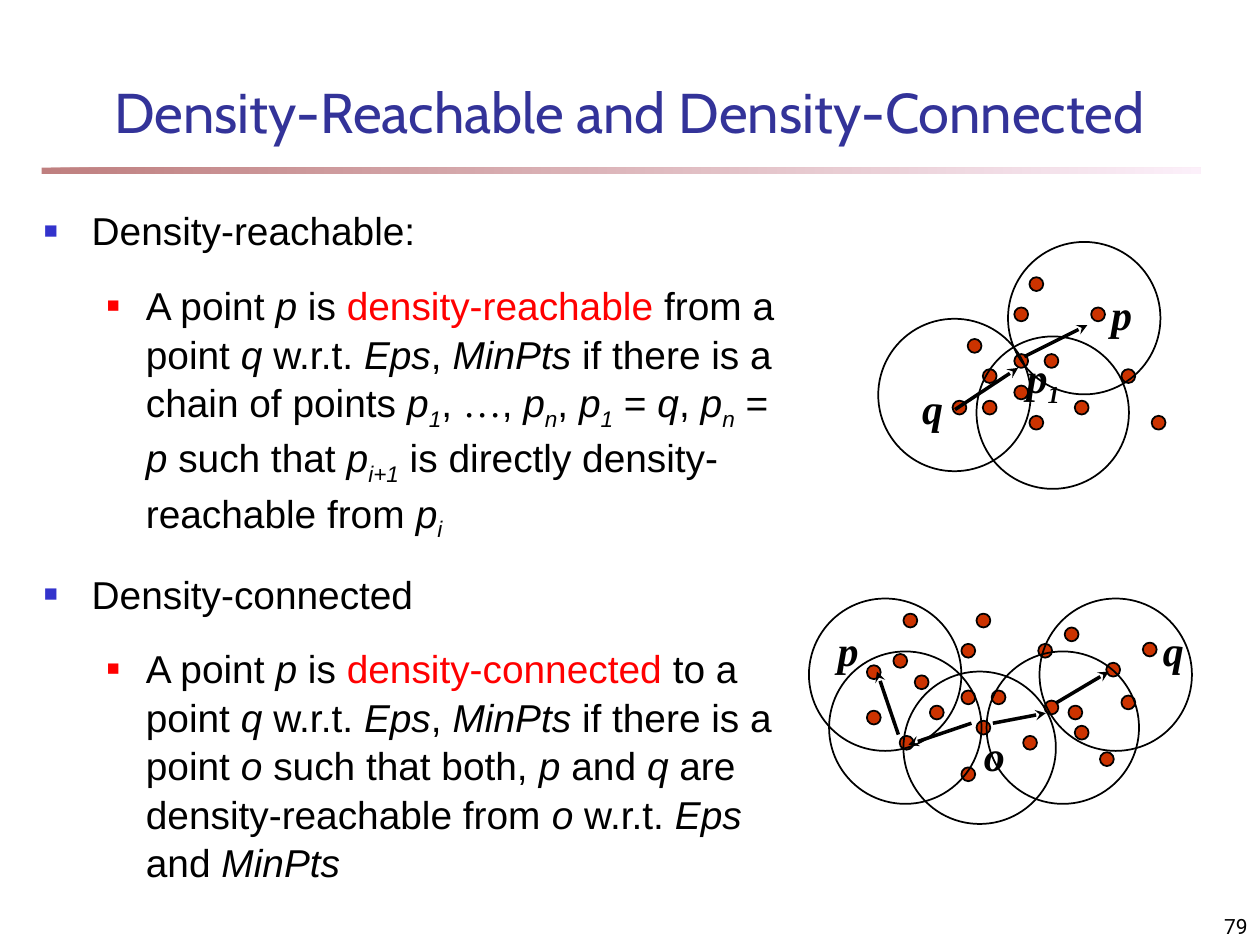
"""Build the slide on density-reachable and density-connected points."""
from dataclasses import dataclass
from typing import NamedTuple

from lxml.etree import SubElement
from pptx import Presentation
from pptx.dml.color import RGBColor
from pptx.enum.shapes import MSO_CONNECTOR, MSO_SHAPE
from pptx.enum.text import MSO_ANCHOR, PP_ALIGN
from pptx.oxml.ns import qn
from pptx.util import Inches, Pt


@dataclass(frozen=True)
class Theme:
    black: str = "000000"
    red: str = "FF0000"
    blue: str = "3333CC"
    navy: str = "333399"
    rust: str = "CC3300"
    maroon: str = "800000"
    pink: str = "FAE2F6"
    head: str = "Cabin"
    sans: str = "Arial"
    serif: str = "Times New Roman"
    small: str = "Roboto"
    title: float = 32
    body: float = 22.2
    label: float = 24
    number: float = 12
    gap: float = 15
    lead: float = 1.04
    thin: float = 1
    thick: float = 2
    dot: float = 0.11
    ring: float = 1.21


class Piece(NamedTuple):
    text: str
    color: str = ""
    slant: bool = False
    sub: bool = False
    font: str = ""


class Point(NamedTuple):
    x: float
    y: float


class Label(NamedTuple):
    x: float
    y: float
    pieces: list
    width: float = 0.42
    height: float = 0.5


class Arrow(NamedTuple):
    start: Point
    tip: Point


class Figure(NamedTuple):
    dots: list
    rings: list
    labels: list
    arrows: list


class Bullet(NamedTuple):
    color: str
    scale: int
    margin: float
    indent: float


T = Theme()
TOP = Bullet(T.blue, 60, 0.38, -0.38)
INNER = Bullet(T.red, 55, 0.81, -0.31)


def var(name: str, sub: str = "") -> list:
    """Return the pieces of an italic symbol with an optional subscript."""
    tail = [Piece(sub, slant=True, sub=True)] if sub else []
    return [Piece(name, slant=True), *tail]


def join(*parts) -> list:
    """Flatten plain strings, pieces and symbols into one list of pieces."""
    out = []
    for part in parts:
        if isinstance(part, str):
            out.append(Piece(part))
        elif isinstance(part, Piece):
            out.append(part)
        else:
            out.extend(part)
    return out


def write(para, pieces: list, size: float, font: str, color: str = T.black, bold: bool = False) -> None:
    """Add the pieces to a paragraph run by run."""
    for piece in pieces:
        run = para.add_run()
        run.text = piece.text
        run.font.size = Pt(size)
        run.font.name = piece.font or font
        run.font.bold = bold
        run.font.italic = piece.slant
        run.font.color.rgb = RGBColor.from_string(piece.color or color)
        if piece.sub:
            run._r.get_or_add_rPr().set("baseline", "-25000")


def add_box(shapes, x: float, y: float, w: float, h: float, anchor=MSO_ANCHOR.TOP, wrap: bool = True):
    """Add a text box and return its text frame."""
    frame = shapes.add_textbox(Inches(x), Inches(y), Inches(w), Inches(h)).text_frame
    frame.word_wrap = wrap
    frame.vertical_anchor = anchor
    return frame


def add_mark(para, mark: Bullet) -> None:
    """Give a paragraph its square bullet and hanging indent."""
    props = para._p.get_or_add_pPr()
    props.set("marL", str(Inches(mark.margin)))
    props.set("indent", str(Inches(mark.indent)))
    tint = SubElement(props, qn("a:buClr"))
    SubElement(tint, qn("a:srgbClr"), val=mark.color)
    SubElement(props, qn("a:buSzPct"), val=str(mark.scale * 1000))
    SubElement(props, qn("a:buFont"), typeface=T.sans)
    SubElement(props, qn("a:buChar"), char="■")


def add_disc(shapes, spot: Point, size: float, fill: str = "") -> None:
    """Add a black-edged circle, filled when a colour is given."""
    disc = shapes.add_shape(MSO_SHAPE.OVAL, Inches(spot.x), Inches(spot.y), Inches(size), Inches(size))
    disc.shadow.inherit = False
    disc.line.color.rgb = RGBColor.from_string(T.black)
    disc.line.width = Pt(T.thin)
    if fill:
        disc.fill.solid()
        disc.fill.fore_color.rgb = RGBColor.from_string(fill)
    else:
        disc.fill.background()


def add_arrow(shapes, arrow: Arrow) -> None:
    """Add a thick line with a stealth head at its tip."""
    ends = [Inches(v) for v in (*arrow.start, *arrow.tip)]
    link = shapes.add_connector(MSO_CONNECTOR.STRAIGHT, *ends)
    link.line.color.rgb = RGBColor.from_string(T.black)
    link.line.width = Pt(T.thick)
    SubElement(link.line._get_or_add_ln(), qn("a:tailEnd"), type="stealth")
    SubElement(link._element.spPr, qn("a:effectLst"))


def add_figure(shapes, figure: Figure) -> None:
    """Draw the points, circles, labels and arrows of one figure."""
    for spot in figure.dots:
        add_disc(shapes, Point(*spot), T.dot, T.rust)
    for spot in figure.rings:
        add_disc(shapes, Point(*spot), T.ring)
    for label in figure.labels:
        frame = add_box(shapes, label.x, label.y, label.width, label.height, wrap=False)
        write(frame.paragraphs[0], label.pieces, T.label, T.serif, bold=True)
    for arrow in figure.arrows:
        add_arrow(shapes, arrow)


def add_rule(shapes) -> None:
    """Add the fading bar under the title."""
    bar = shapes.add_shape(MSO_SHAPE.RECTANGLE, Inches(0.33), Inches(1.33), Inches(9.2), Inches(0.05))
    bar.shadow.inherit = False
    bar.line.fill.background()
    bar.fill.gradient()
    bar.fill.gradient_angle = 0
    for stop, color in zip(bar.fill.gradient_stops, (T.maroon, T.pink)):
        stop.color.rgb = RGBColor.from_string(color)
    for tint in bar._element.spPr.iter(qn("a:srgbClr")):
        SubElement(tint, qn("a:alpha"), val="50000")


def main() -> None:
    """Build and save the slide."""
    deck = Presentation()
    deck.slide_width, deck.slide_height = Inches(10), Inches(7.5)
    shapes = deck.slides.add_slide(deck.slide_layouts[6]).shapes
    add_rule(shapes)

    title = add_box(shapes, 0, 0.42, 10, 0.92, MSO_ANCHOR.MIDDLE).paragraphs[0]
    title.alignment = PP_ALIGN.CENTER
    write(title, join("Density-Reachable and Density-Connected"), T.title, T.head, T.navy)

    p, q, o = var("p"), var("q"), var("o")
    first, last = var("p", "1"), var("p", "n")
    terms = join(" w.r.t. ", var("Eps"), ", ", var("MinPts"), " if there is a ")
    items = [
        (TOP, join("Density-reachable:")),
        (INNER, join("A point ", p, " is ", Piece("density-reachable", T.red), " from a point ", q, terms,
                     "chain of points ", first, ", ", Piece("…", font=T.serif), ", ", last, ", ", first,
                     " = ", q, ", ", last, " = ", p, " such that ", var("p", "i+1"),
                     " is directly density-reachable from ", var("p", "i"))),
        (TOP, join("Density-connected")),
        (INNER, join("A point ", p, " is ", Piece("density-connected", T.red), " to a point ", q, terms,
                     "point ", var("o "), "such that both, ", p, " and ", q,
                     " are density-reachable from ", o, " w.r.t. ", var("Eps"), " and ", var("MinPts"))),
    ]
    frame = add_box(shapes, 0.25, 1.58, 6.17, 5.5)
    for index, (mark, pieces) in enumerate(items):
        para = frame.add_paragraph() if index else frame.paragraphs[0]
        add_mark(para, mark)
        para.line_spacing = T.lead
        para.space_before = Pt(T.gap if index else 0)
        write(para, pieces, T.body, T.sans)

    add_figure(shapes, Figure(
        [(7.68, 2.69), (8.05, 2.81), (8.05, 2.44), (7.56, 3.18), (7.8, 2.93), (7.8, 3.18), (8.17, 3.3),
         (8.17, 2.2), (8.9, 2.93), (8.66, 2.44), (8.05, 3.06), (8.29, 2.81), (8.53, 3.18), (9.14, 3.3)],
        [(7.75, 2.67), (6.97, 2.53), (8, 1.92)],
        [Label(8.72, 2.24, p), Label(7.22, 2.99, q), Label(8.05, 2.74, first, 0.67, 0.56)],
        [Arrow(Point(8.13, 2.83), Point(8.63, 2.58)), Arrow(Point(7.58, 3.25), Point(8.08, 2.92))]))
    add_figure(shapes.add_group_shape().shapes, Figure(
        [(7.26, 5.36), (7.63, 5.48), (7.63, 5.11), (7.14, 5.84), (7.38, 5.6), (7.63, 6.09), (7.75, 5.72),
         (7.75, 4.87), (8.48, 5.6), (8.24, 5.11), (6.88, 5.64), (7.87, 5.48), (8.12, 5.84), (8.73, 5.97),
         (8.9, 5.52), (8.29, 5.56), (8.53, 5.76), (9.07, 5.1), (8.45, 4.98), (8.78, 5.26), (7.09, 5.19),
         (6.88, 5.28), (7.17, 4.87)],
        [(6.58, 5.17), (7.17, 5.33), (7.83, 5.17), (8.25, 4.75), (6.42, 4.75)],
        [Label(6.55, 4.91, p), Label(9.13, 4.91, q), Label(7.71, 5.74, o)],
        [Arrow(Point(7.71, 5.74), Point(7.21, 5.91)), Arrow(Point(7.88, 5.74), Point(8.3, 5.66)),
         Arrow(Point(7.13, 5.83), Point(6.96, 5.33)), Arrow(Point(8.38, 5.58), Point(8.8, 5.33))]))

    page = add_box(shapes, 7.92, 7.08, 2.08, 0.42, MSO_ANCHOR.BOTTOM).paragraphs[0]
    page.alignment = PP_ALIGN.RIGHT
    write(page, join("79"), T.number, T.small)
    deck.save("out.pptx")


if __name__ == "__main__":
    main()
